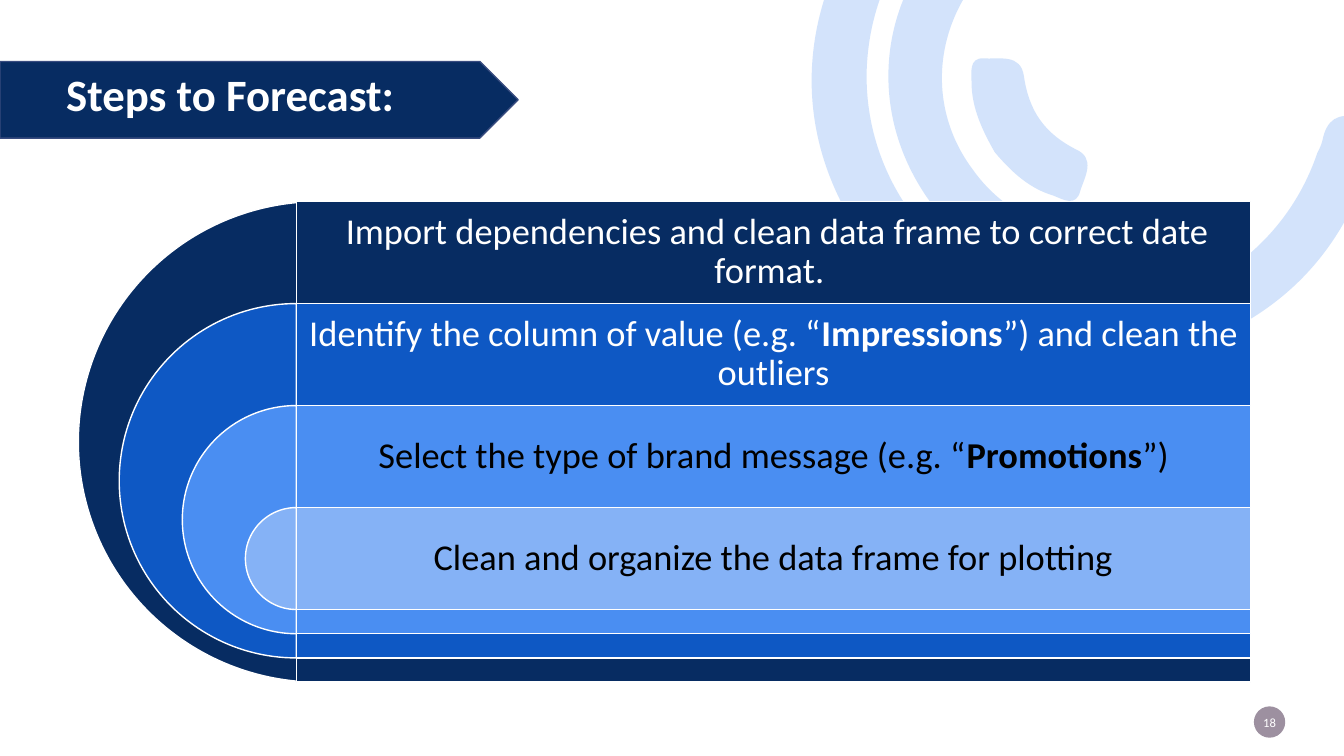
from dataclasses import dataclass

from lxml.etree import SubElement
from pptx import Presentation
from pptx.dml.color import RGBColor
from pptx.enum.shapes import MSO_SHAPE
from pptx.enum.text import MSO_ANCHOR, PP_ALIGN
from pptx.oxml.ns import qn
from pptx.shapes.autoshape import Shape
from pptx.shapes.shapetree import SlideShapes
from pptx.util import Cm, Pt


@dataclass(frozen=True)
class Theme:
    font: str = "Calibri"
    navy: str = "072C62"
    royal: str = "0E58C4"
    azure: str = "4A8EF2"
    sky: str = "85B2F6"
    swirl: str = "ACCBF9"
    banner_edge: str = "374B7F"
    badge: str = "9D90A0"
    white: str = "FFFFFF"
    black: str = "000000"
    title_size: int = 32
    step_size: int = 26
    number_size: int = 9


THEME = Theme()


@dataclass(frozen=True)
class Step:
    text: str  # ** marks the start and end of bold words
    fill: str
    ink: str
    arc_shift: float = 0  # cm from the bar's left edge to the arc's centre


STEPS = [
    Step(" Import dependencies and clean data frame to correct date format. ",
         THEME.navy, THEME.white, 0.56),
    Step("Identify the column of value (e.g. “**Impressions**”) and clean the outliers",
         THEME.royal, THEME.white),
    Step("Select the type of brand message (e.g. “**Promotions**”)",
         THEME.azure, THEME.black),
    Step("Clean and organize the data frame for plotting",
         THEME.sky, THEME.black),
]

# Nested bars, in cm
BAR_LEFT, BAR_TOP, BAR_WIDTH = 7.47, 5.08, 24.05
ROW, LIP = 2.57, 0.61

Point = tuple[float, float]
Curve = tuple[float, float, float, float, float, float]


@dataclass(frozen=True)
class Swirl:
    start: Point
    curves: list[Curve]  # two control points and an end point, in units of 2.54 cm


SWIRLS = [
    Swirl((8.51, 2.29), [
        (7.99, 1.49, 7.87, 0.5, 8.38, -0.5),
        (8.9, -1.52, 9.76, -2.03, 10.9, -2.07),
        (11.05, -2.07, 11.21, -2.1, 11.31, -1.95),
        (11.44, -1.75, 11.27, -1.54, 10.98, -1.54),
        (9.67, -1.54, 8.65, -0.59, 8.6, 0.68),
        (8.56, 1.81, 9.36, 2.81, 10.46, 3.02),
        (11.6, 3.24, 12.7, 2.61, 13.07, 1.52),
        (13.09, 1.48, 13.11, 1.44, 13.12, 1.4),
        (13.16, 1.19, 13.27, 1.11, 13.49, 1.17),
        (13.73, 1.24, 13.67, 1.41, 13.61, 1.56),
        (13.34, 2.45, 12.78, 3.07, 11.91, 3.41),
        (10.7, 3.87, 9.36, 3.45, 8.51, 2.29),
    ]),
    Swirl((9.22, 1.99), [
        (8.62, 1.15, 8.69, 0.07, 9.4, -0.68),
        (9.51, -0.79, 9.62, -0.95, 9.8, -0.78),
        (9.95, -0.64, 9.97, -0.5, 9.79, -0.32),
        (9.25, 0.26, 9.2, 1.08, 9.65, 1.68),
        (10.08, 2.29, 10.88, 2.49, 11.61, 2.15),
        (11.82, 2.05, 11.93, 2.12, 12.03, 2.29),
        (12.13, 2.5, 11.97, 2.56, 11.83, 2.63),
        (10.96, 3.1, 9.83, 2.82, 9.22, 1.99),
    ]),
    Swirl((9.87, 1.51), [
        (9.75, 1.3, 9.64, 1.07, 9.64, 0.82),
        (9.64, 0.73, 9.61, 0.57, 9.76, 0.58),
        (9.92, 0.59, 10.13, 0.53, 10.16, 0.76),
        (10.21, 1.1, 10.36, 1.32, 10.67, 1.48),
        (10.88, 1.57, 10.76, 1.76, 10.72, 1.89),
        (10.68, 2.06, 10.55, 1.98, 10.45, 1.94),
        (10.21, 1.87, 10.03, 1.7, 9.87, 1.51),
    ]),
]


def paint(shape: Shape, fill: str, line: str | None = None) -> None:
    shape.shadow.inherit = False
    shape.fill.solid()
    shape.fill.fore_color.rgb = RGBColor.from_string(fill)
    if line:
        shape.line.color.rgb = RGBColor.from_string(line)
        shape.line.width = Pt(1)
    else:
        shape.line.fill.background()


def add_block(shapes: SlideShapes, kind: MSO_SHAPE, left: float, top: float,
              width: float, height: float, fill: str, line: str | None = None) -> Shape:
    block = shapes.add_shape(kind, Cm(left), Cm(top), Cm(width), Cm(height))
    paint(block, fill, line)
    return block


def write(shape: Shape, text: str, *, size: int, color: str, bold: bool = False,
          align: PP_ALIGN = PP_ALIGN.CENTER, anchor: MSO_ANCHOR = MSO_ANCHOR.MIDDLE,
          inset: tuple[float, float] = (0, 0), spacing: float = 1.0) -> None:
    frame = shape.text_frame
    frame.word_wrap = True
    frame.vertical_anchor = anchor
    frame.margin_left = frame.margin_right = Cm(inset[0])
    frame.margin_top = frame.margin_bottom = Cm(inset[1])
    paragraph = frame.paragraphs[0]
    paragraph.alignment = align
    paragraph.line_spacing = spacing
    for index, part in enumerate(text.split("**")):
        run = paragraph.add_run()
        run.text = part
        run.font.name = THEME.font
        run.font.size = Pt(size)
        run.font.bold = bold or index % 2 == 1
        run.font.color.rgb = RGBColor.from_string(color)


def add_swirl(shapes: SlideShapes, swirl: Swirl) -> None:
    def emu(x: float, y: float) -> tuple[Cm, Cm]:
        return Cm(x * 2.54), Cm(y * 2.54)

    builder = shapes.build_freeform(*emu(*swirl.start))
    builder.add_line_segments(
        [emu(*curve[i:i + 2]) for curve in swirl.curves for i in (0, 2, 4)], close=True)
    band = builder.convert_to_shape()
    paint(band, THEME.swirl)
    color = band._element.spPr.find(qn("a:solidFill"))[0]
    SubElement(color, qn("a:alpha")).set("val", "53000")

    # Turn each three segments into one Bézier curve
    outline = band._element.find(".//" + qn("a:path"))
    segments = outline.findall(qn("a:lnTo"))
    for first in range(0, len(segments), 3):
        bezier = SubElement(outline, qn("a:cubicBezTo"))
        segments[first].addprevious(bezier)
        for segment in segments[first:first + 3]:
            bezier.append(segment[0])
            outline.remove(segment)


def add_step(shapes: SlideShapes, index: int, step: Step) -> None:
    top = BAR_TOP + index * ROW
    height = ROW + (len(STEPS) - 1 - index) * (ROW + LIP)
    arc_left = BAR_LEFT + step.arc_shift - height / 2
    arc = add_block(shapes, MSO_SHAPE.PIE, arc_left, top, height, height,
                    step.fill, THEME.white)
    arc.adjustments[0], arc.adjustments[1] = 54, 162  # left half
    add_block(shapes, MSO_SHAPE.RECTANGLE, BAR_LEFT, top, BAR_WIDTH, height,
              step.fill, THEME.white)
    label = shapes.add_textbox(Cm(BAR_LEFT), Cm(top), Cm(BAR_WIDTH), Cm(ROW))
    write(label, step.text, size=THEME.step_size, color=step.ink,
          inset=(0.28, 0.28), spacing=0.9)


def main() -> None:
    deck = Presentation()
    deck.slide_width, deck.slide_height = Cm(33.87), Cm(19.05)
    shapes = deck.slides.add_slide(deck.slide_layouts[6]).shapes

    # Background swirls
    for swirl in SWIRLS:
        add_swirl(shapes, swirl)

    # Nested steps
    for index, step in enumerate(STEPS):
        add_step(shapes, index, step)

    # Title banner
    add_block(shapes, MSO_SHAPE.PENTAGON, 0, 1.55, 13.06, 1.93,
              THEME.navy, THEME.banner_edge)
    title = shapes.add_textbox(Cm(1.42), Cm(1.55), Cm(12.27), Cm(1.63))
    write(title, "Steps to Forecast:", size=THEME.title_size, color=THEME.white, bold=True,
          align=PP_ALIGN.LEFT, anchor=MSO_ANCHOR.TOP, inset=(0.25, 0.13))

    # Page number
    badge = add_block(shapes, MSO_SHAPE.OVAL, 31.6, 17.8, 0.79, 0.79, THEME.badge)
    write(badge, "18", size=THEME.number_size, color=THEME.white)

    deck.save("out.pptx")


if __name__ == "__main__":
    main()
